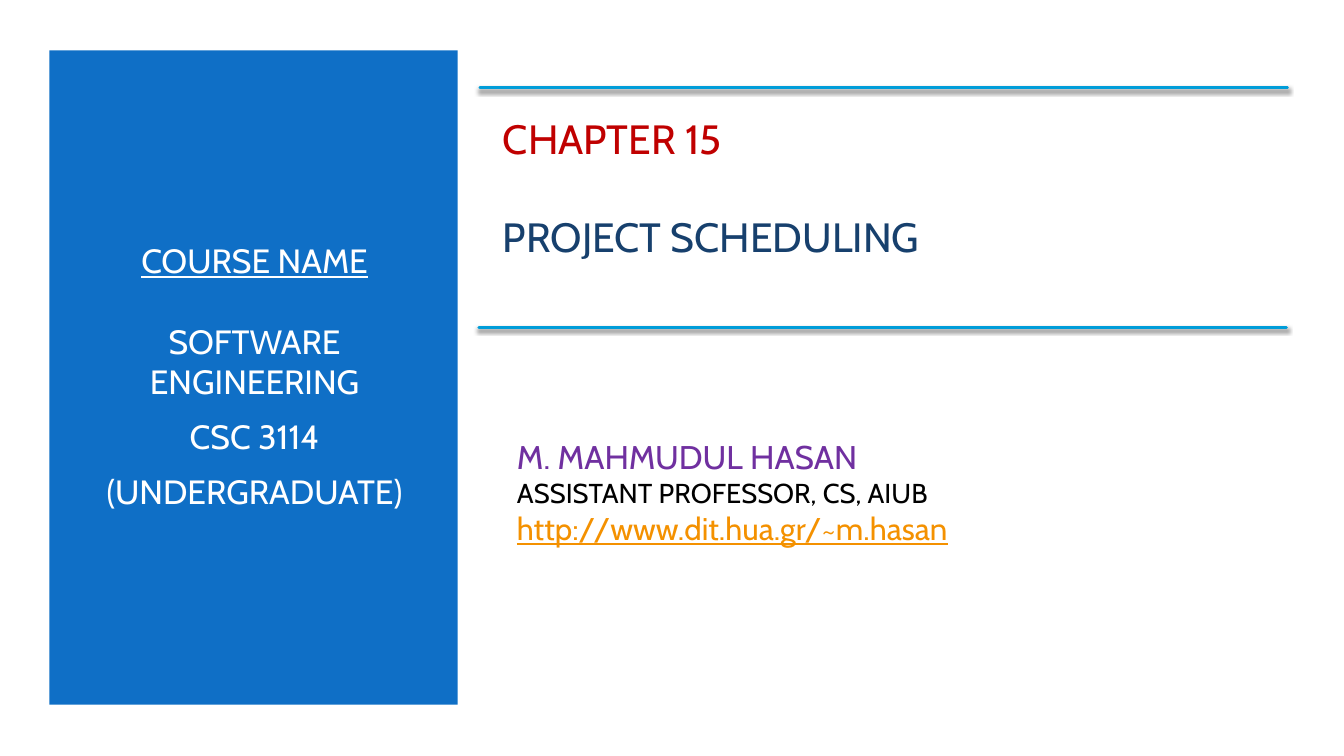
import lxml.etree
import pptx
import pptx.dml.color
import pptx.enum.shapes
import pptx.enum.text
import pptx.oxml
import pptx.oxml.ns
import pptx.util

SHADOW = (
    '<a:effectLst %s><a:outerShdw blurRad="38100" dist="25400" dir="5400000" rotWithShape="0">'
    '<a:srgbClr val="000000"><a:alpha val="55000"/></a:srgbClr></a:outerShdw></a:effectLst>'
    % pptx.oxml.ns.nsdecls("a")
)


def rgb(value):
    return pptx.dml.color.RGBColor.from_string(value)


class Deck:
    font = "Cabin"
    blue, cyan, white = "0F6FC6", "009DD9", "FFFFFF"
    red, navy, purple, black, orange = "C00000", "17406D", "7030A0", "000000", "F49100"

    def __init__(self):
        self.prs = pptx.Presentation()
        self.prs.slide_width = pptx.util.Inches(13.33)
        self.prs.slide_height = pptx.util.Inches(7.5)
        self.s = self.prs.slides.add_slide(self.prs.slide_layouts[6])
        self.s.background.fill.solid()
        self.s.background.fill.fore_color.rgb = rgb(self.white)

    def x(self, percent):
        return round(self.prs.slide_width * percent / 100)

    def y(self, percent):
        return round(self.prs.slide_height * percent / 100)

    def box(self, left, top, width, height):
        return self.x(left), self.y(top), self.x(width), self.y(height)

    def panel(self, *area):
        sp = self.s.shapes.add_shape(
            pptx.enum.shapes.MSO_SHAPE.RECTANGLE, *self.box(*area))
        sp.shadow.inherit = False
        sp.fill.solid()
        sp.fill.fore_color.rgb = rgb(self.blue)
        sp.line.fill.background()

    def text(self, area, lines, align="LEFT"):
        tf = self.s.shapes.add_textbox(*self.box(*area)).text_frame
        tf.word_wrap = True
        tf.vertical_anchor = pptx.enum.text.MSO_ANCHOR.MIDDLE
        for i, (words, size, color, before, underline) in enumerate(lines):
            p = tf.add_paragraph() if i else tf.paragraphs[0]
            p.alignment = pptx.enum.text.PP_ALIGN[align]
            p.space_before = pptx.util.Pt(before)
            r = p.add_run()
            r.text = words
            style = {"name": self.font, "size": pptx.util.Pt(size), "underline": underline}
            for key, value in style.items():
                setattr(r.font, key, value)
            r.font.color.rgb = rgb(color)

    def rule(self, left, top, width):
        sp = self.s.shapes.add_connector(
            pptx.enum.shapes.MSO_CONNECTOR.STRAIGHT,
            self.x(left), self.y(top), self.x(left + width), self.y(top))
        sp.line.color.rgb = rgb(self.cyan)
        sp.line.width = pptx.util.Pt(2)
        ln = sp.line._get_or_add_ln()
        ln.set("cap", "rnd")
        ln.addnext(pptx.oxml.parse_xml(SHADOW))


def main():
    deck = Deck()
    deck.panel(3.68, 6.67, 30.38, 86.53)
    deck.text((6.3, 14.67, 25.28, 70), [
        ("COURSE NAME", 24, deck.white, 0, True),
        ("SOFTWARE ENGINEERING", 24, deck.white, 29, False),
        ("CSC 3114", 24, deck.white, 10.5, False),
        ("(UNDERGRADUATE)", 24, deck.white, 10.5, False),
    ], "CENTER")
    deck.text((36.68, 14.67, 58.89, 20.13), [
        ("CHAPTER 15", 29.2, deck.red, 0, False),
        ("PROJECT SCHEDULING", 29.2, deck.navy, 35, False),
    ])
    deck.text((37.73, 54.67, 49.96, 20.8), [
        ("M. MAHMUDUL HASAN", 23.4, deck.purple, 0, False),
        ("ASSISTANT PROFESSOR, CS, AIUB", 19.5, deck.black, 0, False),
        ("http://www.dit.hua.gr/~m.hasan", 22.4, deck.orange, 0, True),
    ])
    for left, top in ((35.71, 11.6), (35.63, 43.33)):
        deck.rule(left, top, 60.09)
    deck.prs.save("out.pptx")


if __name__ == "__main__":
    main()
